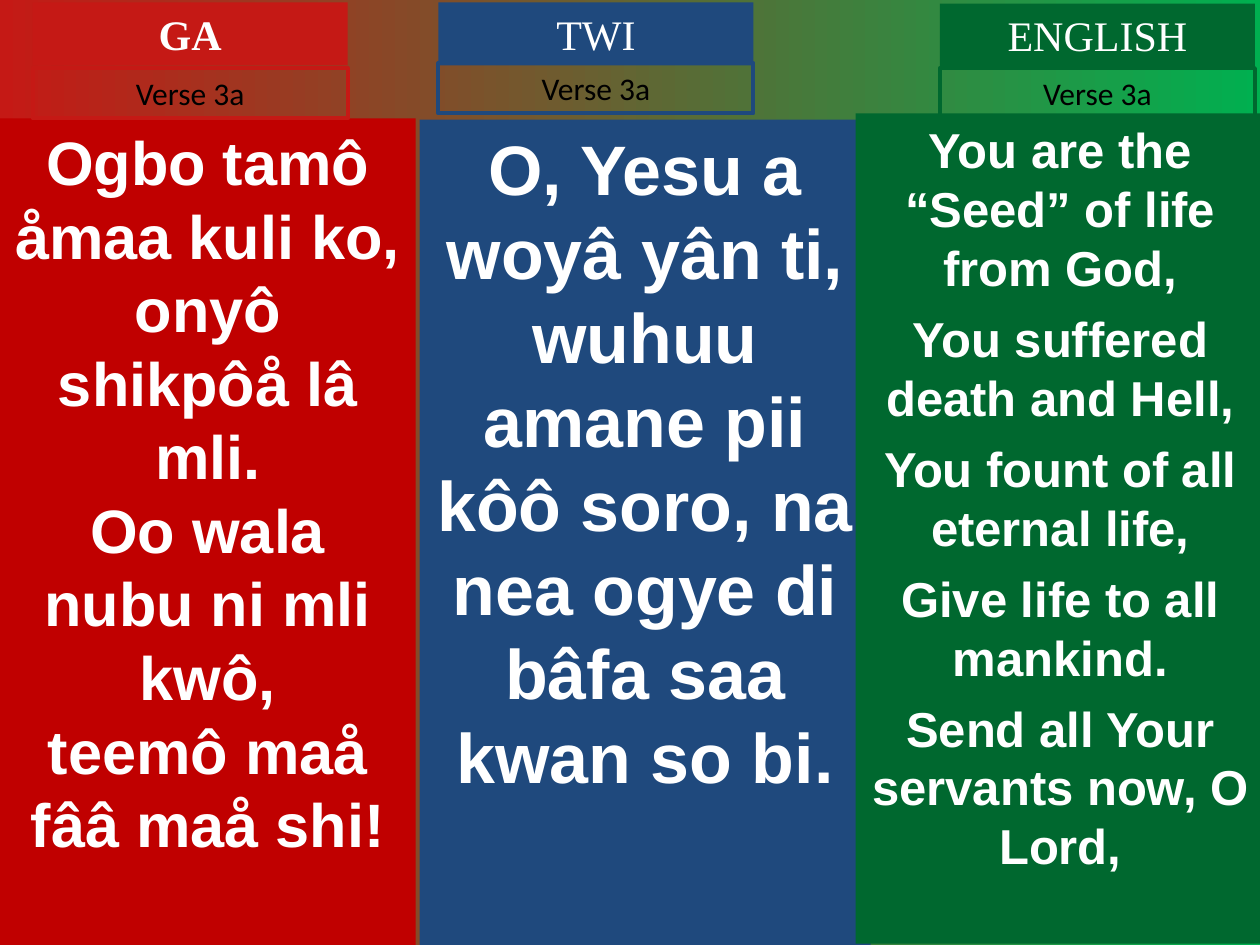
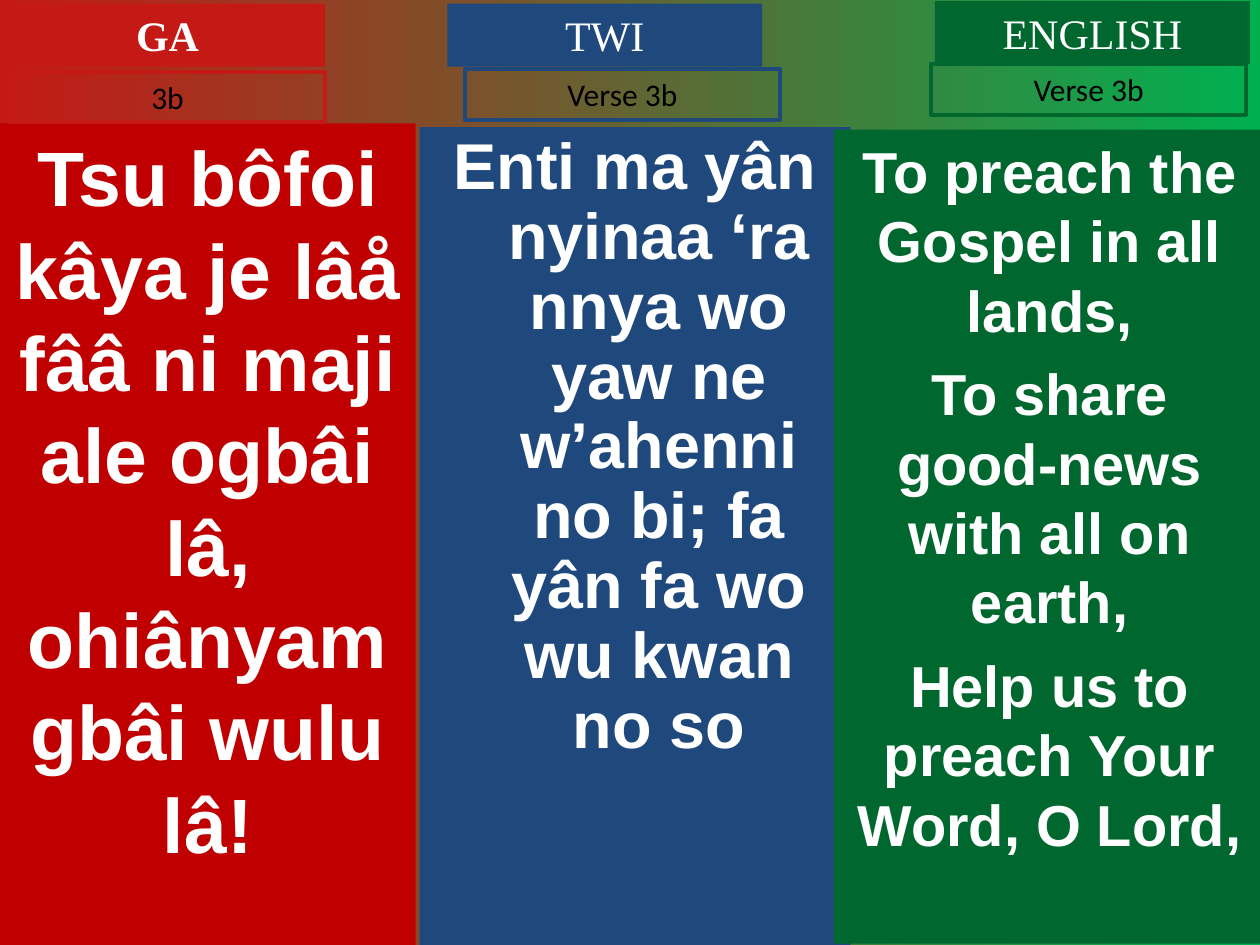
from pptx import Presentation
from pptx.dml.color import RGBColor
from pptx.enum.shapes import MSO_SHAPE
from pptx.enum.text import MSO_ANCHOR, MSO_AUTO_SIZE, PP_ALIGN
from pptx.util import Inches, Pt

RECTANGLE = MSO_SHAPE.RECTANGLE
TOP = MSO_ANCHOR.TOP
CENTER = PP_ALIGN.CENTER
GROW = MSO_AUTO_SIZE.SHAPE_TO_FIT_TEXT
FIXED = MSO_AUTO_SIZE.NONE

BACKDROP = ("C51915", "00B050")
WHITE, BLACK = "FFFFFF", "000000"
TITLE_SIZE = (2.5, 0.5)
VERSE_SIZE = (2.5, 0.4)

LANGUAGES = {
    "GA": dict(band="C51915", panel="C00000", bold=True),
    "TWI": dict(band="1F497D", panel="1F497D", bold=False),
    "ENGLISH": dict(band="00682F", panel="00682F", bold=False),
}

SLIDES = [
    {
        "GA": dict(
            title_at=(0.26, 0.02), verse="Verse 3a", verse_at=(0.26, 0.54),
            panel_box=(0, 0.94, 3.3, 6.56), style=dict(size=35),
            lyrics=["Ogbo tamô åmaa kuli ko,", "onyô shikpôå lâ mli.",
                    "Oo wala nubu ni mli kwô,", "teemô maå fââ maå shi!"]),
        "TWI": dict(
            title_at=(3.48, 0.02), verse="Verse 3a", verse_at=(3.48, 0.5),
            panel_box=(3.33, 0.95, 3.58, 6.55), style=dict(size=40),
            lyrics=["O, Yesu a woyâ yân ti,",
                    "wuhuu amane pii kôô soro, na nea ogye di bâfa saa kwan so bi."]),
        "ENGLISH": dict(
            title_at=(7.46, 0.03), verse="Verse 3a", verse_at=(7.46, 0.54),
            panel_box=(6.79, 0.9, 3.25, 6.59), style=dict(size=28, gap=7),
            lyrics=["You are the “Seed” of life from God,",
                    "You suffered death and Hell,",
                    "You fount of all eternal life,",
                    "Give life to all mankind.",
                    "Send all Your servants now, O Lord,"]),
    },
    {
        "GA": dict(
            title_at=(0.08, 0.03), verse="3b", verse_at=(0.08, 0.57),
            panel_box=(0, 0.98, 3.3, 6.52), style=dict(size=44),
            lyrics=["Tsu bôfoi kâya je lâå fââ ni maji ale ogbâi lâ,",
                    "ohiânyam gbâi wulu lâ!"]),
        "TWI": dict(
            title_at=(3.55, 0.03), verse="Verse 3b", verse_at=(3.69, 0.55),
            panel_box=(3.33, 1.01, 3.42, 6.49),
            style=dict(size=37, spacing=0.9, hanging=0.38),
            lyrics=["Enti ma yân nyinaa ‘ra nnya wo yaw ne w’ahenni no bi; "
                    "fa yân fa wo wu kwan no so"]),
        "ENGLISH": dict(
            title_at=(7.42, 0.01), verse="Verse 3b", verse_at=(7.39, 0.51),
            panel_box=(6.62, 1.03, 3.42, 6.46), style=dict(size=33, gap=8.2),
            lyrics=["To preach the Gospel in all lands,",
                    "To share good-news with all on earth,",
                    "Help us to preach Your Word, O Lord,"]),
    },
]


def rgb(value):
    return RGBColor.from_string(value)


def write(shape, lines, *, size, font, color=WHITE, bold=False, gap=0,
          spacing=None, hanging=0, fit=FIXED):
    frame = shape.text_frame
    frame.word_wrap = True
    frame.auto_size = fit
    frame.vertical_anchor = TOP
    for index, line in enumerate(lines):
        paragraph = frame.paragraphs[0] if index == 0 else frame.add_paragraph()
        paragraph.alignment = CENTER
        if index and gap:
            paragraph.space_before = Pt(gap)
        if spacing:
            paragraph.line_spacing = spacing
        if hanging:
            properties = paragraph._p.get_or_add_pPr()
            properties.set("marL", str(Inches(hanging)))
            properties.set("indent", str(-Inches(hanging)))
        run = paragraph.add_run()
        run.text = line
        run.font.size = Pt(size)
        run.font.name = font
        run.font.bold = bold
        run.font.color.rgb = rgb(color)


def add_box(slide, box, fill=None, line=None):
    shape = slide.shapes.add_shape(RECTANGLE, *map(Inches, box))
    shape.shadow.inherit = False
    if fill:
        shape.fill.solid()
        shape.fill.fore_color.rgb = rgb(fill)
    else:
        shape.fill.background()
    if line:
        shape.line.color.rgb = rgb(line)
        shape.line.width = Pt(2.25)
    else:
        shape.line.fill.background()
    return shape


def paint_background(slide):
    fill = slide.background.fill
    fill.gradient()
    fill.gradient_angle = 0
    for stop, color in zip(fill.gradient_stops, BACKDROP):
        stop.color.rgb = rgb(color)


def add_column(slide, language, part):
    look = LANGUAGES[language]
    panel = add_box(slide, part["panel_box"], fill=look["panel"])
    write(panel, part["lyrics"], font="Arial", bold=True, **part["style"])
    title = add_box(slide, part["title_at"] + TITLE_SIZE, fill=look["band"])
    write(title, [language], size=24, font="Times New Roman",
          bold=look["bold"], fit=GROW)
    verse = add_box(slide, part["verse_at"] + VERSE_SIZE, line=look["band"])
    write(verse, [part["verse"]], size=18, font="Calibri", color=BLACK, fit=GROW)


def main():
    deck = Presentation()
    deck.slide_width, deck.slide_height = Inches(10), Inches(7.5)
    for columns in SLIDES:
        slide = deck.slides.add_slide(deck.slide_layouts[6])
        paint_background(slide)
        for language, part in columns.items():
            add_column(slide, language, part)
    deck.save("out.pptx")


if __name__ == "__main__":
    main()
